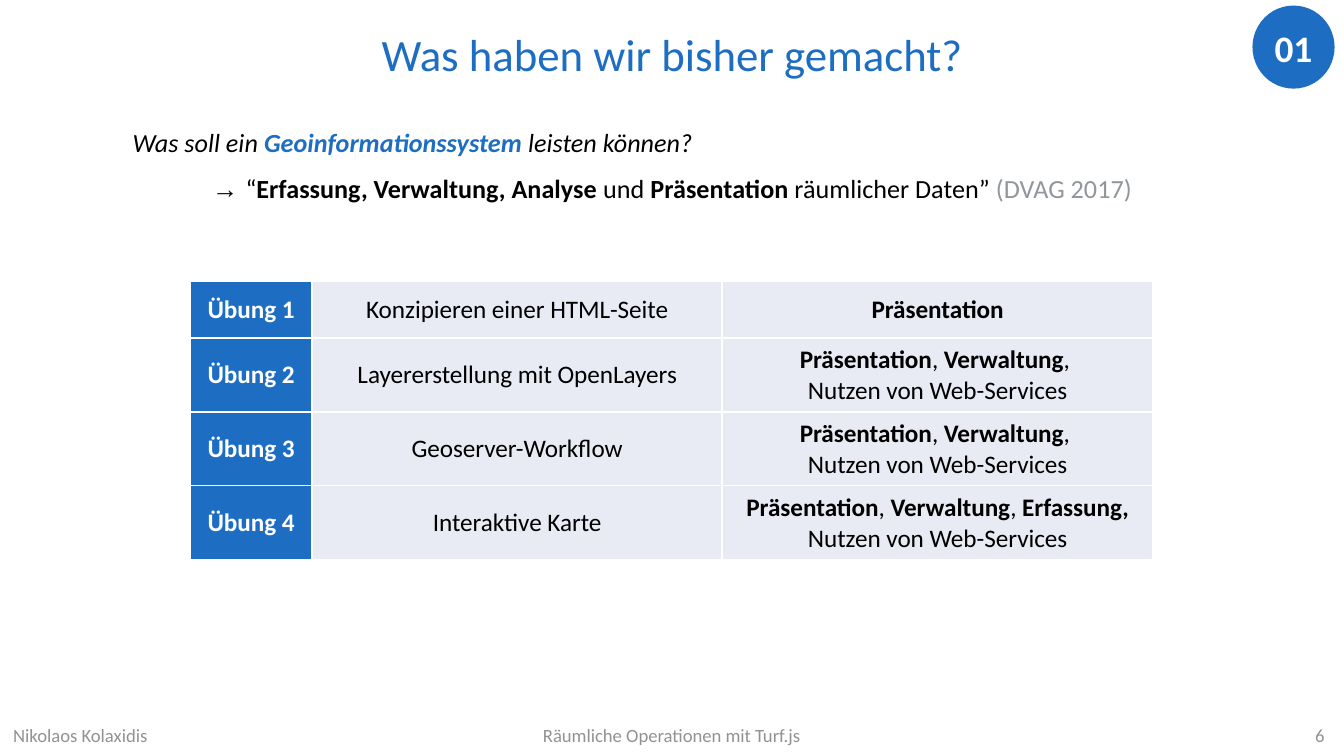
from lxml.etree import SubElement
from pptx import Presentation
from pptx.dml.color import RGBColor
from pptx.enum.shapes import MSO_SHAPE as Shape
from pptx.enum.text import MSO_ANCHOR as Anchor, PP_ALIGN as Align
from pptx.oxml.ns import qn
from pptx.util import Pt

BLUE, PALE, GREY = "1D6DC2", "E8EBF4", "929292"
BLACK, WHITE = "000000", "FFFFFF"
BOLD = {"bold": True}
ITALIC = {"italic": True}
PRESENT, MANAGE = ("Präsentation", BOLD), ("Verwaltung", BOLD)
COMMA = (", ", {})
SERVICES = [("Nutzen von Web-Services", {})]
EXERCISES = [
    ("Konzipieren einer HTML-Seite", [[PRESENT]]),
    ("Layererstellung mit OpenLayers", [[PRESENT, COMMA, MANAGE, COMMA], SERVICES]),
    ("Geoserver-Workflow", [[PRESENT, COMMA, MANAGE, COMMA], SERVICES]),
    ("Interaktive Karte", [[PRESENT, COMMA, MANAGE, COMMA, ("Erfassung,", BOLD)], SERVICES]),
]


def color(value):
    """Turn a hex string into a colour."""
    return RGBColor.from_string(value)


def add_span(para, text, size=14, fill=BLACK, bold=False, italic=False, font="Calibri"):
    """Add one formatted run to a paragraph."""
    span = para.add_run()
    span.text = text
    span.font.name = font
    span.font.size = Pt(size)
    span.font.bold = bold
    span.font.italic = italic
    span.font.color.rgb = color(fill)


def add_lines(frame, lines, align=Align.CENTER, **style):
    """Fill a text frame with paragraphs made of (text, format) pairs."""
    for index, spans in enumerate(lines):
        para = frame.add_paragraph() if index else frame.paragraphs[0]
        para.alignment = align
        for text, extra in spans:
            add_span(para, text, **{**style, **extra})


def add_text(shapes, place, lines, **style):
    """Add a wrapping text box and return its frame."""
    box = shapes.add_textbox(*map(Pt, place))
    box.text_frame.word_wrap = True
    add_lines(box.text_frame, lines, **style)
    return box.text_frame


def add_badge(page, text):
    """Add the round chapter number in the corner."""
    badge = page.shapes.add_shape(Shape.OVAL, Pt(671), Pt(3), Pt(44), Pt(44.5))
    badge.shadow.inherit = False
    badge.fill.solid()
    badge.fill.fore_color.rgb = color(BLUE)
    badge.line.fill.background()
    badge.text_frame.word_wrap = False
    badge.text_frame.vertical_anchor = Anchor.MIDDLE
    add_lines(badge.text_frame, [[(text, BOLD)]], size=20, fill=WHITE)


def add_question(page):
    """Add the guiding question and its quoted answer."""
    question = [
        ("Was soll ein ", ITALIC),
        ("Geoinformationssystem", {"fill": BLUE, "bold": True, "italic": True}),
        (" leisten können?", ITALIC),
    ]
    answer = [
        ("→ ", {"font": "Arial"}),
        ("“", {}),
        ("Erfassung, Verwaltung, Analyse ", BOLD),
        ("und ", {}),
        ("Präsentation", BOLD),
        (" räumlicher Daten” ", {}),
        ("(DVAG 2017)", {"fill": "91969B"}),
    ]
    frame = add_text(page.shapes, (64, 62.5, 592, 50.5), [question, answer])
    frame.paragraphs[0].alignment = Align.LEFT
    for para in frame.paragraphs:
        para.line_spacing = 1.1
        para.space_before = Pt(6)


def style_cell(cell, fill):
    """Give a cell white borders, a fill and middle anchoring."""
    properties = cell._tc.get_or_add_tcPr()
    for side in "LRTB":
        line = SubElement(properties, qn(f"a:ln{side}"), w=str(Pt(1)))
        SubElement(SubElement(line, qn("a:solidFill")), qn("a:srgbClr"), val=WHITE)
    cell.fill.solid()
    cell.fill.fore_color.rgb = color(fill)
    cell.vertical_anchor = Anchor.MIDDLE


def add_exercises(page):
    """Add the table of exercises and the skills they cover."""
    place = map(Pt, (101.8, 150.8, 516, 121))
    table = page.shapes.add_table(len(EXERCISES), 3, *place).table
    table.first_row = table.horz_banding = False
    for column, width in zip(table.columns, (65.5, 219.6, 230.9)):
        column.width = Pt(width)
    for number, (topic, skills) in enumerate(EXERCISES, 1):
        row = table.rows[number - 1]
        row.height = Pt(30.2)
        heading = [[(f"Übung {number}", {"fill": WHITE, "bold": True})]]
        contents = (heading, [[(topic, {})]], skills)
        for cell, lines, fill in zip(row.cells, contents, (BLUE, PALE, PALE)):
            style_cell(cell, fill)
            add_lines(cell.text_frame, lines, size=13.5)


def add_footer(page):
    """Add the grouped topic, page number and author."""
    footer = page.shapes.add_group_shape()
    for left, width, text, align in (
        (-0.5, 720.5, "Räumliche Operationen mit Turf.js", Align.CENTER),
        (693.5, 27, "6", Align.CENTER),
        (0, 90, "Nikolaos Kolaxidis", Align.LEFT),
    ):
        place = (left, 384, width, 19.4)
        add_text(footer.shapes, place, [[(text, {})]], align=align, size=10, fill=GREY)


def main():
    """Build the slide and save the deck."""
    deck = Presentation()
    deck.slide_width, deck.slide_height = Pt(720), Pt(405)
    page = deck.slides.add_slide(deck.slide_layouts[6])
    title = [[("Was haben wir bisher gemacht?", {})]]
    add_text(page.shapes, (0, 10.8, 720, 36), title, size=24, fill=BLUE)
    add_badge(page, "01")
    add_footer(page)
    add_question(page)
    add_exercises(page)
    deck.save("out.pptx")


if __name__ == "__main__":
    main()
